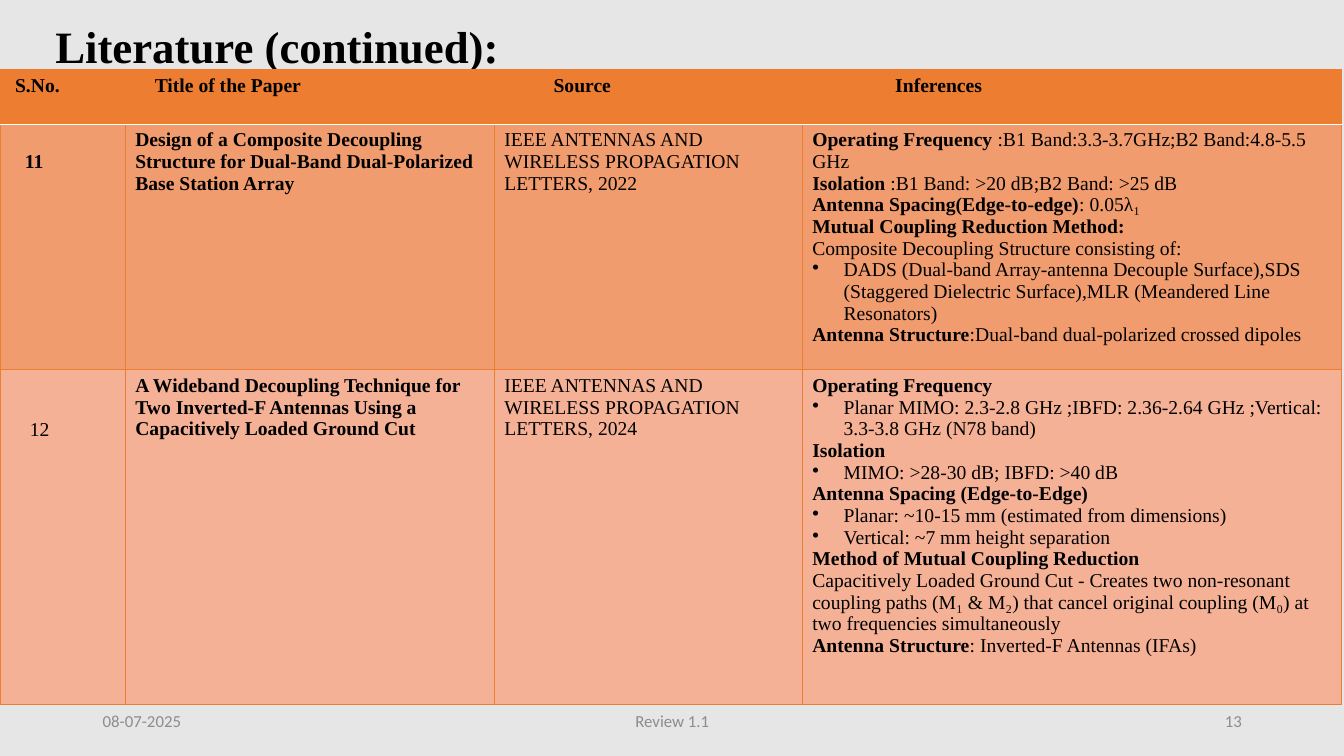
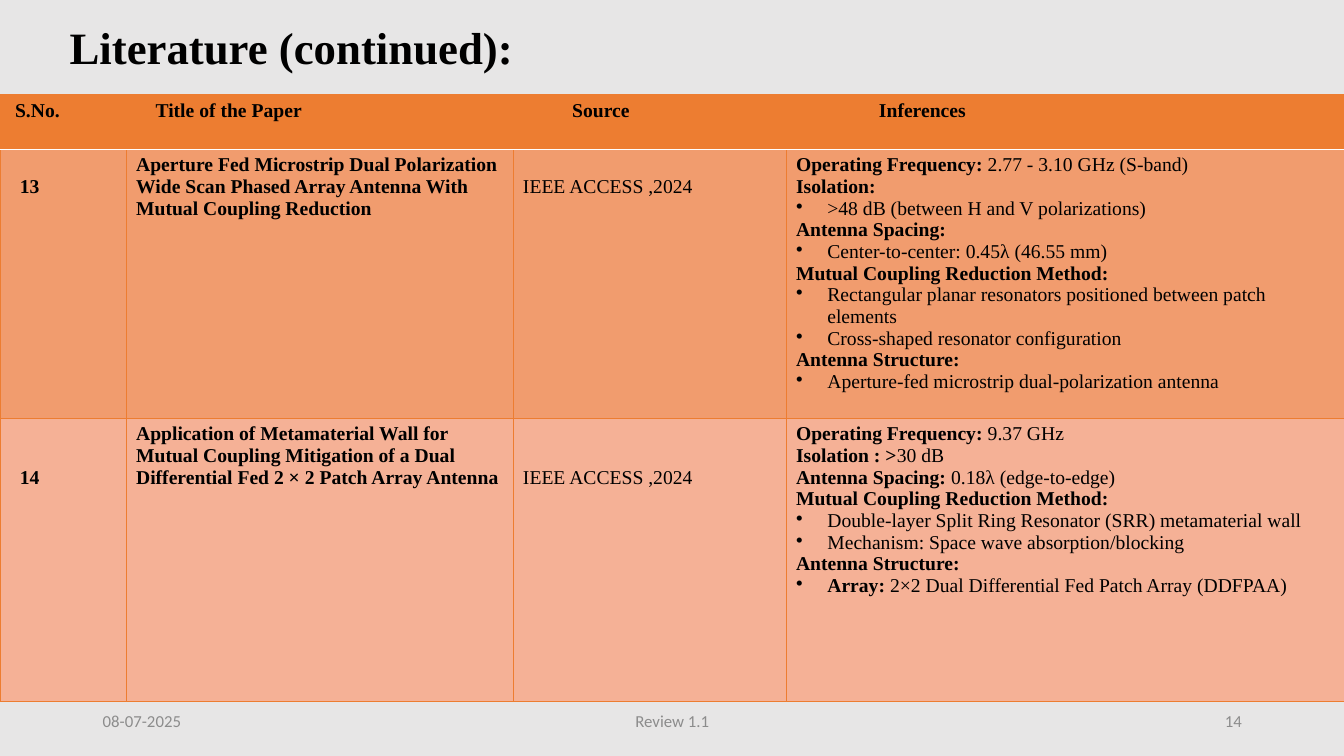
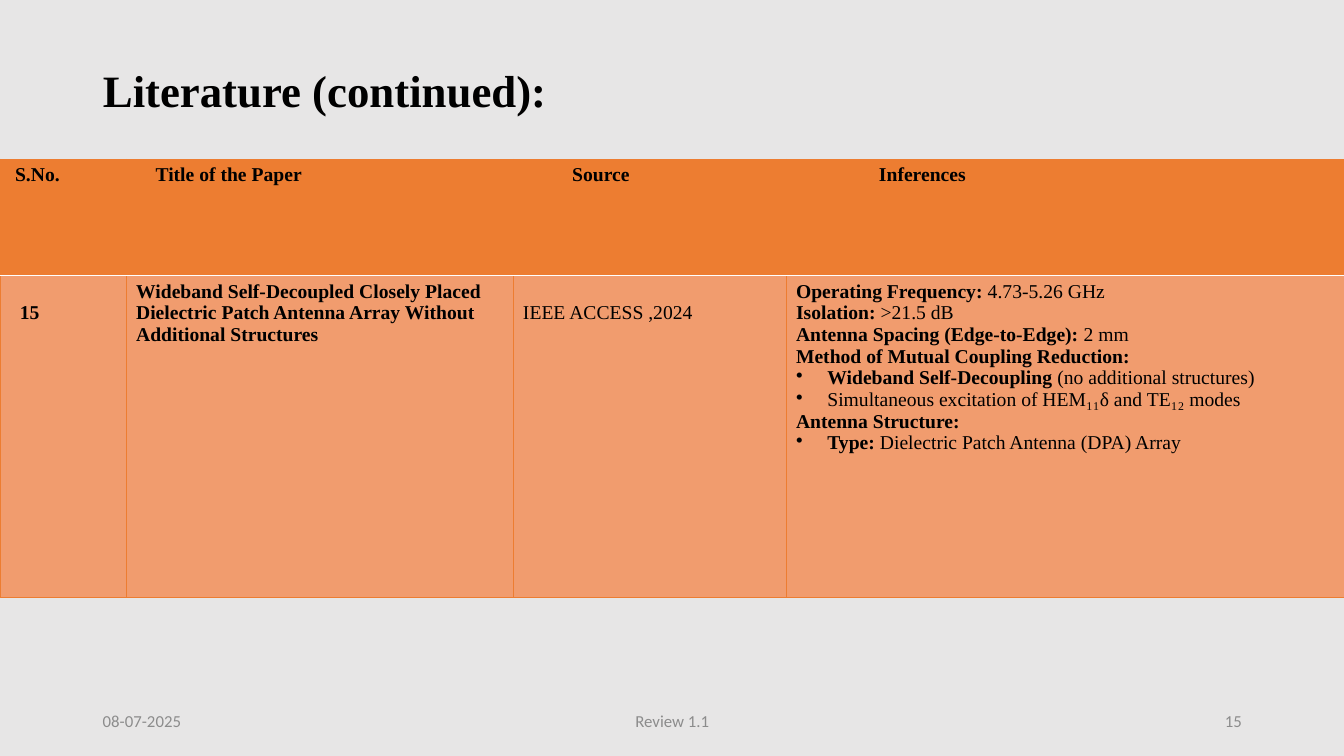
import pptx
import pptx.dml.color
import pptx.enum.text
import pptx.oxml
import pptx.oxml.ns
import pptx.util
from lxml import etree

Cm, Pt = pptx.util.Cm, pptx.util.Pt
RGB = pptx.dml.color.RGBColor.from_string
ALIGN = pptx.enum.text.PP_ALIGN
MIDDLE = pptx.enum.text.MSO_ANCHOR.MIDDLE

COLORS = {"back": "E7E6E6", "text": "000000", "footer": "8C8C8C",
          "header": "ED7D31", "odd": "F19C6E", "even": "F5B196", "rule": "FFFFFF"}
FONTS = {
    "title": {"name": "Times New Roman", "size": Pt(32), "bold": True},
    "cell": {"name": "Times New Roman", "size": Pt(14), "bold": False},
    "footer": {"name": "Calibri", "size": Pt(12), "bold": False},
}
LINE = 0.55    # height of one line of cell text, cm
HEADER = [("**S.No.**", 0.38), ("**Title of the Paper**", 0.74),
          ("**Source**", 1.49), ("**Inferences**", 2.34)]
FOOTERS = [(2.34, 7.62, ALIGN.LEFT, "08-07-2025"),
           (11.23, 11.43, ALIGN.CENTER, "Review 1.1")]


class Deck:
    def __init__(self):
        self.prs = pptx.Presentation()
        self.prs.slide_width, self.prs.slide_height = Cm(33.87), Cm(19.05)
        fill = self.prs.slide_master.background.fill
        fill.solid()
        fill.fore_color.rgb = RGB(COLORS["back"])

    def add_slide(self, number, left, top):
        self.s = self.prs.slides.add_slide(self.prs.slide_layouts[5])
        self.title("Literature (continued):", left, top)
        for spot in FOOTERS + [(23.93, 7.62, ALIGN.RIGHT, str(number))]:
            self.footer(*spot)

    def run(self, p, text, style, color="text", **changes):
        r = p.add_run()
        r.text = text
        for key, value in {**FONTS[style], **changes}.items():
            setattr(r.font, key, value)
        r.font.color.rgb = RGB(COLORS[color])

    def title(self, text, left, top):
        sp = self.s.shapes.title
        sp.left, sp.top, sp.width, sp.height = Cm(left), Cm(top), Cm(29.21), Cm(2.23)
        tf = sp.text_frame
        tf.vertical_anchor = MIDDLE
        tf.auto_size = pptx.enum.text.MSO_AUTO_SIZE.NONE
        p = tf.paragraphs[0]
        p.alignment, p.line_spacing = ALIGN.LEFT, 0.9
        self.run(p, text, "title")

    def footer(self, left, width, align, text):
        sp = self.s.shapes.add_textbox(Cm(left), Cm(17.65), Cm(width), Cm(1.02))
        tf = sp.text_frame
        tf.word_wrap, tf.vertical_anchor = True, MIDDLE
        p = tf.paragraphs[0]
        p.alignment = align
        self.run(p, text, "footer", "footer")

    def paragraph(self, p, text):
        """Write text, where ** turns bold on and off and a leading • makes a bullet."""
        if text.startswith("•"):
            text = text[1:]
            pPr = p._p.get_or_add_pPr()
            pPr.set("marL", str(Cm(0.79)))
            pPr.set("indent", str(-Cm(0.79)))
            etree.SubElement(pPr, pptx.oxml.ns.qn("a:buChar")).set("char", "•")
        for i, part in enumerate(text.split("**")):
            if part:
                self.run(p, part, "cell", bold=i % 2 == 1)

    def border(self, cell, side, color, width):
        cell._tc.get_or_add_tcPr().append(pptx.oxml.parse_xml(
            f'<a:ln{side} {pptx.oxml.ns.nsdecls("a")} w="{Pt(width)}"><a:solidFill>'
            f'<a:srgbClr val="{COLORS[color]}"/></a:solidFill></a:ln{side}>'))

    def cell(self, cell, row, text, indent=0.25, drop=0):
        """Fill a cell; indent is its left margin in cm, drop the lines left free above."""
        cell.margin_left, cell.margin_top = Cm(indent), Cm(0.13 + drop * LINE)
        for side in "LRTB":
            white = (row, side) in ((0, "B"), (1, "T"))
            self.border(cell, side, *(("rule", 1) if white else ("header", 0.5)))
        cell.fill.solid()
        cell.fill.fore_color.rgb = RGB(COLORS[("header", "odd", "even")[row]])
        tf = cell.text_frame
        for i, line in enumerate(text.split("\n")):
            self.paragraph(tf.add_paragraph() if i else tf.paragraphs[0], line)

    def table(self, top, widths, heights, papers):
        rows = [HEADER] + papers
        tbl = self.s.shapes.add_table(len(rows), len(widths), 0, Cm(top),
                                      Cm(sum(widths)), Cm(sum(heights))).table
        for col, width in zip(tbl.columns, widths):
            col.width = Cm(width)
        for i, (row, height) in enumerate(zip(rows, heights)):
            tbl.rows[i].height = Cm(height)
            for j, content in enumerate(row):
                self.cell(tbl.cell(i, j), i, *content)


WIDE_SOURCE = [3.16, 9.3, 7.76, 13.58]
WIDE_TITLE = [3.18, 9.75, 6.88, 14.1]

SLIDES = [
    {"title": (1.14, 0.13), "top": 1.75, "widths": WIDE_SOURCE, "heights": [1.38, 6.12, 8.44],
     "papers": [
        [("**11**", 0.63, 1),
         ("**Design of a Composite Decoupling Structure for Dual-Band Dual-Polarized "
          "Base Station Array**",),
         ("IEEE ANTENNAS AND WIRELESS PROPAGATION LETTERS, 2022",),
         ("""**Operating Frequency** :B1 Band:3.3-3.7GHz;B2 Band:4.8-5.5 GHz
**Isolation** :B1 Band: >20 dB;B2 Band: >25 dB
**Antenna Spacing(Edge-to-edge)**: 0.05λ₁
**Mutual Coupling Reduction Method:**
Composite Decoupling Structure consisting of:
•DADS (Dual-band Array-antenna Decouple Surface),SDS (Staggered Dielectric Surface),MLR (Meandered Line Resonators)
**Antenna Structure**:Dual-band dual-polarized crossed dipoles""",)],
        [("12", 0.75, 2),
         ("**A Wideband Decoupling Technique for Two Inverted-F Antennas Using a "
          "Capacitively Loaded Ground Cut**",),
         ("IEEE ANTENNAS AND WIRELESS PROPAGATION LETTERS, 2024",),
         ("""**Operating Frequency**
•Planar MIMO: 2.3-2.8 GHz ;IBFD: 2.36-2.64 GHz ;Vertical: 3.3-3.8 GHz (N78 band)
**Isolation**
•MIMO: >28-30 dB; IBFD: >40 dB
**Antenna Spacing (Edge-to-Edge)**
•Planar: ~10-15 mm (estimated from dimensions)
•Vertical: ~7 mm height separation
**Method of Mutual Coupling Reduction**
Capacitively Loaded Ground Cut - Creates two non-resonant coupling paths (M₁ & M₂) that cancel original coupling (M₀) at two frequencies simultaneously
**Antenna Structure**: Inverted-F Antennas (IFAs)""",)],
     ]},
    {"title": (1.5, 0.15), "top": 2.38, "widths": WIDE_TITLE, "heights": [1.38, 6.73, 7.13],
     "papers": [
        [("**13**", 0.5, 1),
         ("**Aperture Fed Microstrip Dual Polarization Wide Scan Phased Array Antenna "
          "With Mutual Coupling Reduction**",),
         ("IEEE ACCESS ,2024", 0.25, 1),
         ("""**Operating Frequency:** 2.77 - 3.10 GHz (S-band)
**Isolation:**
•>48 dB (between H and V polarizations)
**Antenna Spacing:**
•Center-to-center: 0.45λ (46.55 mm)
**Mutual Coupling Reduction Method:**
•Rectangular planar resonators positioned between patch elements
•Cross-shaped resonator configuration
**Antenna Structure:**
•Aperture-fed microstrip dual-polarization antenna""",)],
        [("**14**", 0.5, 2),
         ("**Application of Metamaterial Wall for Mutual Coupling Mitigation of a Dual "
          "Differential Fed 2 × 2 Patch Array Antenna**",),
         ("IEEE ACCESS ,2024", 0.25, 2),
         ("""**Operating Frequency:** 9.37 GHz
**Isolation : >**30 dB
**Antenna Spacing:** 0.18λ (edge-to-edge)
**Mutual Coupling Reduction Method:**
•Double-layer Split Ring Resonator (SRR) metamaterial wall
•Mechanism: Space wave absorption/blocking
**Antenna Structure:**
•**Array:** 2×2 Dual Differential Fed Patch Array (DDFPAA)""",)],
     ]},
    {"title": (2.34, 1.22), "top": 4.01, "widths": WIDE_TITLE, "heights": [2.93, 8.11],
     "papers": [
        [("**15**", 0.5, 1),
         ("**Wideband Self-Decoupled Closely Placed Dielectric Patch Antenna Array "
          "Without Additional Structures**",),
         ("IEEE ACCESS ,2024", 0.25, 1),
         ("""**Operating Frequency:** 4.73-5.26 GHz
**Isolation:** >21.5 dB
**Antenna Spacing (Edge-to-Edge):** 2 mm
**Method of Mutual Coupling Reduction:**
•**Wideband Self-Decoupling** (no additional structures)
•Simultaneous excitation of HEM₁₁δ and TE₁₂ modes
**Antenna Structure:**
•**Type:** Dielectric Patch Antenna (DPA) Array""",)],
     ]},
]


def main():
    deck = Deck()
    for number, page in enumerate(SLIDES, start=13):
        deck.add_slide(number, *page["title"])
        deck.table(page["top"], page["widths"], page["heights"], page["papers"])
    deck.prs.save("out.pptx")


if __name__ == "__main__":
    main()
